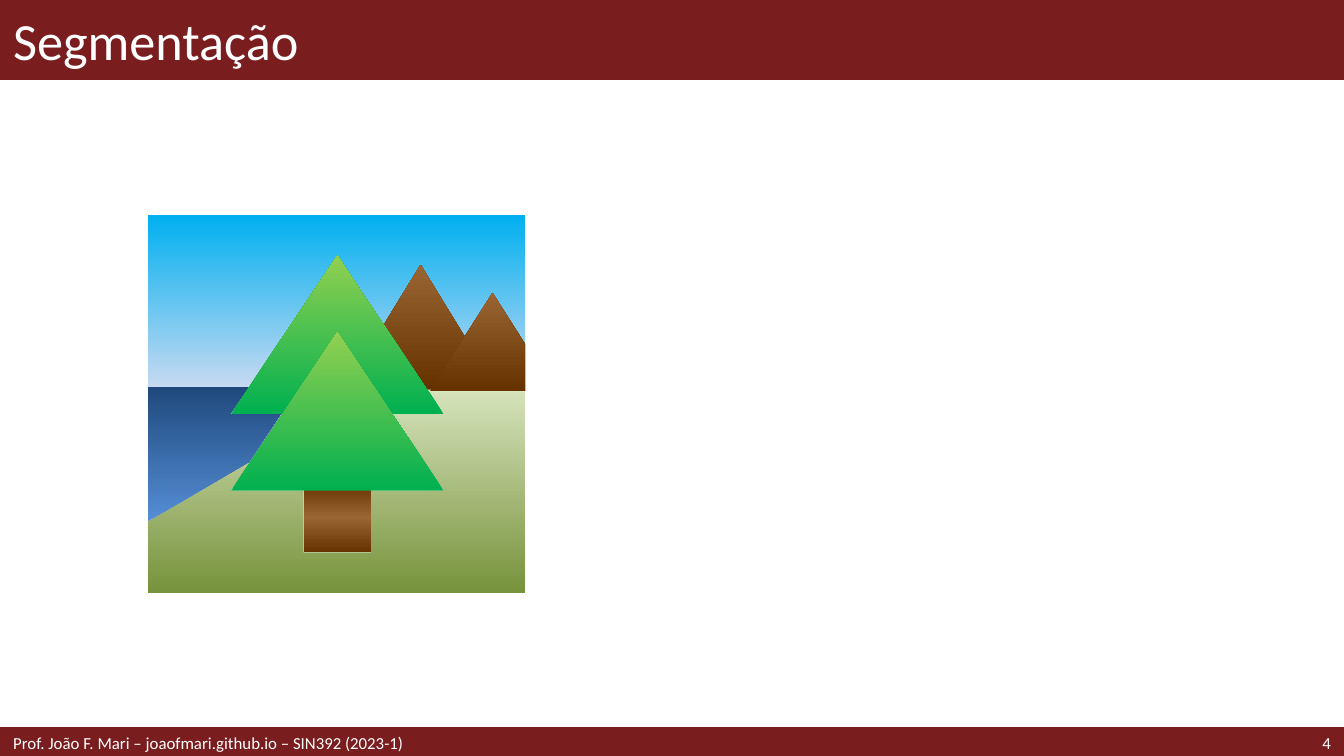
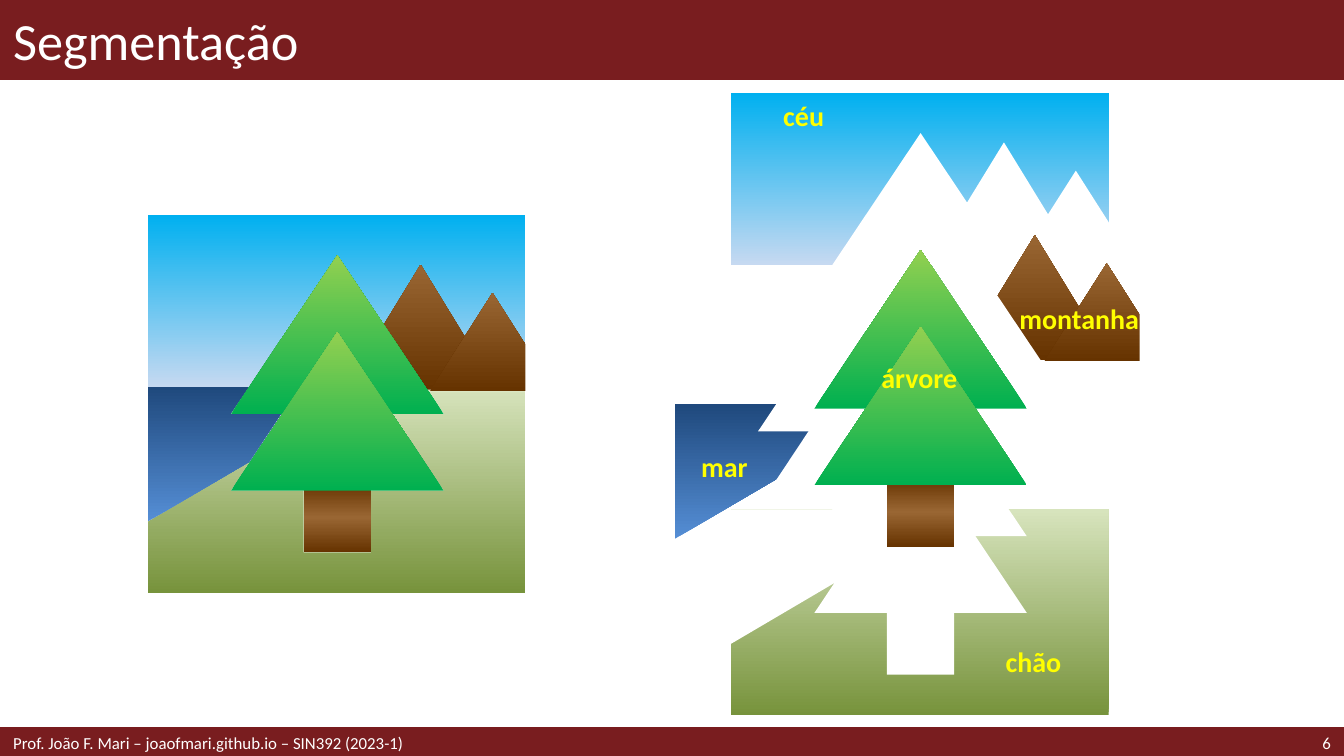
"""Build two slides that split a landscape into its segments."""
from copy import deepcopy
from dataclasses import dataclass

from pptx import Presentation
from pptx.dml.color import RGBColor
from pptx.enum import shapes, text
from pptx.oxml.ns import qn
from pptx.util import Inches, Pt

KIND = shapes.MSO_SHAPE
ALIGN = text.PP_ALIGN


@dataclass(frozen=True)
class Theme:
    """Hold colours, font and type sizes; gradients run from bottom to top."""
    font: str = "Calibri"
    title_size: int = 28
    footer_size: int = 9
    label_size: int = 15
    maroon: str = "791D1F"
    white: str = "FFFFFF"
    yellow: str = "FFFF00"
    sky: tuple = ("C6D9F1", "00B0F0")
    ground: tuple = ("77933C", "D7E4BD")
    sea: tuple = ("558ED5", "1F497D")
    mountain: tuple = ("663300", "996633")
    trunk: tuple = ("663300", "996633", "663300")
    leaves: tuple = ("00B050", "92D050")


THEME = Theme()
WIDTH = 10
HEIGHT = WIDTH * 9 / 16
TITLE_HEIGHT = 0.59
FOOTER_TOP, FOOTER_HEIGHT = 5.42, 0.21
FOOTER = "Prof. João F. Mari – joaofmari.github.io – SIN392 (2023-1)"
SCENE = (1.1, 1.6)

CROWNS = [(0.62, 0.3, 1.58, 1.18), (0.62, 0.87, 1.58, 1.18)]
PEAKS = [(1.46, 0.37, 1.14, 0.93), (2.1, 0.58, 0.93, 0.73)]
TRUNK = (1.16, 1.99, 0.5, 0.52)
SHORE = (0.35, 0.93, 1, 1.7)


def paint_gradient(shape, colors, angle):
    """Fill a shape with evenly spaced colour stops."""
    shape.fill.gradient()
    shape.fill.gradient_angle = angle
    stop_list = shape.element.spPr.find(".//" + qn("a:gsLst"))
    for _ in colors[2:]:
        stop_list.append(deepcopy(stop_list[0]))
    for index, (stop, color) in enumerate(zip(shape.fill.gradient_stops, colors)):
        stop.color.rgb = RGBColor.from_string(color)
        stop.position = index / (len(colors) - 1)


def add_part(slide, kind, origin, box, fill, rotation=0, edge=None):
    """Draw a preset shape in a box relative to an origin."""
    left, top, width, height = box
    part = slide.shapes.add_shape(kind, Inches(origin[0] + left), Inches(origin[1] + top),
                                  Inches(width), Inches(height))
    part.shadow.inherit = False
    part.rotation = rotation
    if kind == KIND.TRAPEZOID:
        part.adjustments[0] = 0.68
    if isinstance(fill, tuple):
        paint_gradient(part, fill, 90 + rotation)
    else:
        part.fill.solid()
        part.fill.fore_color.rgb = RGBColor.from_string(fill)
    if edge:
        part.line.color.rgb = RGBColor.from_string(fill)
        part.line.width = Pt(edge)
    else:
        part.line.fill.background()


def add_text(slide, words, box, *, size, color=THEME.white, align=ALIGN.LEFT, bold=False):
    """Write one vertically centred line of text in a box."""
    frame = slide.shapes.add_textbox(*map(Inches, box)).text_frame
    frame.word_wrap = True
    frame.vertical_anchor = text.MSO_ANCHOR.MIDDLE
    frame.margin_top = frame.margin_bottom = 0
    line = frame.paragraphs[0]
    line.text = words
    line.alignment = align
    line.font.name = THEME.font
    line.font.size = Pt(size)
    line.font.bold = bold
    line.font.color.rgb = RGBColor.from_string(color)


def draw_ground(slide, origin):
    """Draw the ground with the shore and the tree cut out."""
    add_part(slide, KIND.RECTANGLE, origin, (0, 1.28, 2.81, 1.53), THEME.ground)
    add_part(slide, KIND.RIGHT_TRIANGLE, origin, SHORE, THEME.white, rotation=90)
    for crown in CROWNS:
        add_part(slide, KIND.ISOSCELES_TRIANGLE, origin, crown, THEME.white)
    add_part(slide, KIND.RECTANGLE, origin, TRUNK, THEME.white)


def draw_sea(slide, origin):
    """Draw the sea with the tree cut out."""
    add_part(slide, KIND.RIGHT_TRIANGLE, origin, SHORE, THEME.sea, rotation=90)
    add_part(slide, KIND.ISOSCELES_TRIANGLE, origin, (0.62, 1.01, 0.63, 0.47), THEME.white)
    add_part(slide, KIND.RECTANGLE, origin, (1.06, 1.25, 0.69, 0.47), THEME.white)
    add_part(slide, KIND.ISOSCELES_TRIANGLE, origin, (0.73, 1.39, 0.65, 0.49), THEME.white)


def draw_sky(slide, origin):
    """Draw the sky with the mountains and the tree cut out."""
    add_part(slide, KIND.RECTANGLE, origin, (0, 0, 2.81, 1.28), THEME.sky)
    for peak in PEAKS:
        add_part(slide, KIND.TRAPEZOID, origin, peak, THEME.white)
    add_part(slide, KIND.ISOSCELES_TRIANGLE, origin, CROWNS[0], THEME.white)


def draw_mountains(slide, origin):
    """Draw the mountains, cut by the scene's right side and the tree."""
    for peak in PEAKS:
        add_part(slide, KIND.TRAPEZOID, origin, peak, THEME.mountain)
    add_part(slide, KIND.RECTANGLE, origin, (2.81, 0.59, 0.26, 0.77), THEME.white)
    add_part(slide, KIND.ISOSCELES_TRIANGLE, origin, (1.41, 0.81, 0.67, 0.5), THEME.white)


def draw_tree(slide, origin):
    """Draw the trunk and both crowns."""
    add_part(slide, KIND.RECTANGLE, origin, TRUNK, THEME.trunk)
    for crown in CROWNS:
        add_part(slide, KIND.ISOSCELES_TRIANGLE, origin, crown, THEME.leaves)


SEGMENTS = [
    (draw_ground, (5.44, 2.51), "chão", (1.4, 2.28, 1.7)),
    (draw_sea, (5.02, 1.73), "mar", (-0.2, 1.61, 1.14)),
    (draw_sky, (5.44, 0.69), "céu", (-0.03, 0.04, 1.14)),
    (draw_mountains, (5.67, 1.38), "montanha", (1.51, 0.86, 1.7)),
    (draw_tree, (5.44, 1.56), "árvore", (0.83, 1.12, 1.14)),
]


def draw_scene(slide, origin):
    """Join all segments into the whole landscape."""
    for draw_segment, *_ in SEGMENTS:
        draw_segment(slide, origin)


def draw_separated(slide):
    """Spread the segments apart and label each one."""
    for draw_segment, origin, *_ in SEGMENTS:
        draw_segment(slide, origin)
    for _, (left, top), label, (dx, dy, width) in SEGMENTS:
        add_text(slide, label, (left + dx, top + dy, width, 0.26), size=THEME.label_size,
                 color=THEME.yellow, align=ALIGN.CENTER, bold=True)


def start_slide(deck, title, number):
    """Add a slide with its title band, footer band and number."""
    slide = deck.slides.add_slide(deck.slide_layouts[6])
    title_band = (0, 0, WIDTH, TITLE_HEIGHT)
    footer_band = (0, FOOTER_TOP, WIDTH, FOOTER_HEIGHT)
    add_part(slide, KIND.RECTANGLE, (0, 0), title_band, THEME.maroon, edge=1)
    add_part(slide, KIND.RECTANGLE, (0, 0), footer_band, THEME.maroon, edge=2)
    add_text(slide, title, title_band, size=THEME.title_size)
    add_text(slide, str(number), (8.86, FOOTER_TOP, 1.14, FOOTER_HEIGHT),
             size=THEME.footer_size, align=ALIGN.RIGHT)
    add_text(slide, FOOTER, (0, FOOTER_TOP, 6.89, FOOTER_HEIGHT), size=THEME.footer_size)
    return slide


def main():
    """Build and save the deck."""
    deck = Presentation()
    deck.slide_width, deck.slide_height = Inches(WIDTH), Inches(HEIGHT)
    whole = start_slide(deck, "Segmentação", 4)
    draw_scene(whole, SCENE)
    segmented = start_slide(deck, "Segmentação", 6)
    draw_scene(segmented, SCENE)
    draw_separated(segmented)
    deck.save("out.pptx")


if __name__ == "__main__":
    main()
